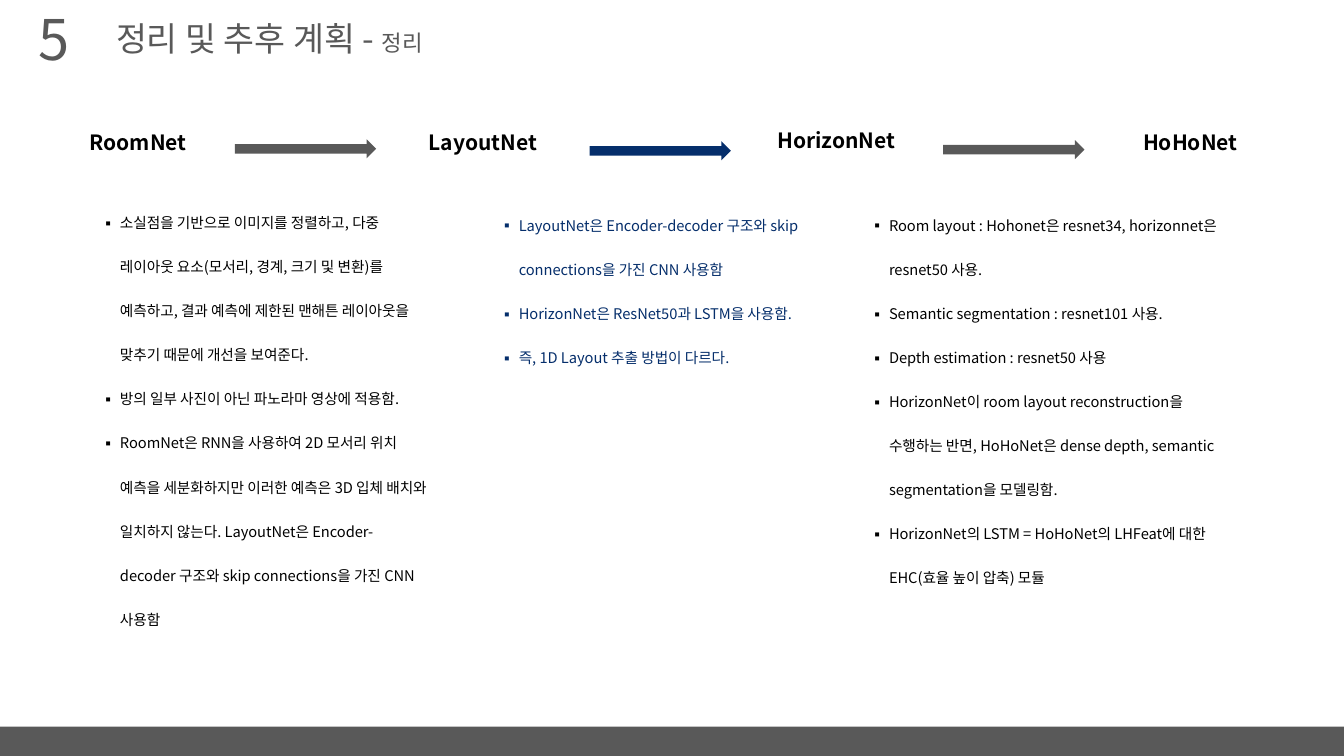
from lxml.etree import SubElement
from pptx import Presentation
from pptx.dml.color import RGBColor
from pptx.enum.shapes import MSO_SHAPE as Shape
from pptx.enum.text import MSO_ANCHOR as Anchor, MSO_AUTO_SIZE as Fit, PP_ALIGN as Align
from pptx.oxml.ns import qn
from pptx.util import Cm, Pt

GREY = RGBColor(0x59, 0x59, 0x59)
NAVY = RGBColor(0x05, 0x2E, 0x6B)
BLACK = RGBColor(0, 0, 0)
FONT = "Noto Sans CJK KR"

# left, top, width in cm
HEADS = [
    ("RoomNet", 1.93, 3.15, 3.1),
    ("LayoutNet", 10.39, 3.15, 3.56),
    ("HorizonNet", 19.3, 3.1, 3.56),
    ("HoHoNet", 28.22, 3.15, 3.56),
]
ARROWS = [(5.92, 3.51, GREY), (14.86, 3.56, NAVY), (23.77, 3.53, GREY)]

# placeholder index, box in cm, colour, items
LISTS = [
    (2, (2.29, 4.6, 8.74, 11.28), BLACK, [
        "소실점을 기반으로 이미지를 정렬하고, 다중 레이아웃 요소(모서리, 경계, 크기 및 변환)를 "
        "예측하고, 결과 예측에 제한된 맨해튼 레이아웃을 맞추기 때문에 개선을 보여준다.",
        "방의 일부 사진이 아닌 파노라마 영상에 적용함.",
        "RoomNet은 RNN을 사용하여 2D 모서리 위치 예측을 세분화하지만 이러한 예측은 3D 입체 "
        "배치와 일치하지 않는다. LayoutNet은 Encoder-decoder 구조와 skip connections을 "
        "가진 CNN 사용함",
    ]),
    (3, (12.34, 4.67, 8.74, 4.55), NAVY, [
        "LayoutNet은 Encoder-decoder 구조와 skip connections을 가진 CNN 사용함",
        "HorizonNet은 ResNet50과 LSTM을 사용함.",
        "즉, 1D Layout 추출 방법이 다르다.",
    ]),
    (4, (21.67, 4.67, 9.55, 11.28), BLACK, [
        "Room layout : Hohonet은 resnet34, horizonnet은 resnet50 사용.",
        "Semantic segmentation : resnet101 사용.",
        "Depth estimation : resnet50 사용",
        "HorizonNet이 room layout reconstruction을 수행하는 반면, HoHoNet은 dense depth, "
        "semantic segmentation을 모델링함.",
        "HorizonNet의 LSTM = HoHoNet의 LHFeat에 대한 EHC(효율 높이 압축) 모듈",
    ]),
]


def write(para, text, size=10.5, color=BLACK, bold=False, align=Align.LEFT):
    """Add a run of text in the given format."""
    para.alignment = align
    run = para.add_run()
    run.text = text
    font = run.font
    font.name, font.size, font.bold = FONT, Pt(size), bold
    font.color.rgb = color
    SubElement(font._element, qn("a:ea"), typeface=FONT)


def place(shape, left, top, width, height):
    """Move a text shape and set up its frame."""
    shape.left, shape.top = Cm(left), Cm(top)
    shape.width, shape.height = Cm(width), Cm(height)
    frame = shape.text_frame
    frame.word_wrap = True
    frame.auto_size = Fit.NONE
    frame.vertical_anchor = Anchor.TOP
    return frame


def add_label(slide, text, box, **form):
    label = slide.shapes.add_textbox(0, 0, 0, 0)
    write(place(label, *box).paragraphs[0], text, align=Align.CENTER, **form)


def add_block(slide, kind, box, color):
    block = slide.shapes.add_shape(kind, *map(Cm, box))
    block.shadow.inherit = False
    block.fill.solid()
    block.fill.fore_color.rgb = color
    block.line.fill.background()


def fill_list(holder, box, color, items):
    frame = place(holder, *box)
    for i, item in enumerate(items):
        para = frame.add_paragraph() if i else frame.paragraphs[0]
        props = para._p.get_or_add_pPr()
        props.set("marL", str(Cm(0.48)))
        props.set("indent", str(-Cm(0.48)))
        SubElement(props, qn("a:buFont"), typeface=FONT)
        SubElement(props, qn("a:buChar"), char="▪")
        para.line_spacing = 2.5
        para.space_before = para.space_after = Pt(0)
        write(para, item, color=color)


def main():
    deck = Presentation()
    deck.slide_width, deck.slide_height = Cm(33.87), Cm(19.05)
    slide = deck.slides.add_slide(deck.slide_layouts.get_by_name("Comparison"))

    # Footer bar
    add_block(slide, Shape.RECTANGLE, (0, 18.31, 33.87, 0.74), GREY)

    # Number and title
    add_label(slide, "5", (0.41, 0, 1.88, 1.96), size=40, color=GREY)
    title = place(slide.shapes.title, 2.67, 0.33, 18.62, 1.27).paragraphs[0]
    write(title, "정리 및 추후 계획 - ", size=24, color=GREY)
    write(title, "정리", size=16, color=GREY)

    # Chain of models
    for name, left, top, width in HEADS:
        add_label(slide, name, (left, top, width, 0.89), size=15, bold=True)
    for left, top, color in ARROWS:
        add_block(slide, Shape.RIGHT_ARROW, (left, top, 3.56, 0.48), color)

    # Lists, then drop the spare placeholder
    holders = {h.placeholder_format.idx: h for h in slide.placeholders}
    for index, box, color, items in LISTS:
        fill_list(holders[index], box, color, items)
    spare = holders[1]._element
    spare.getparent().remove(spare)

    deck.save("out.pptx")


if __name__ == "__main__":
    main()
